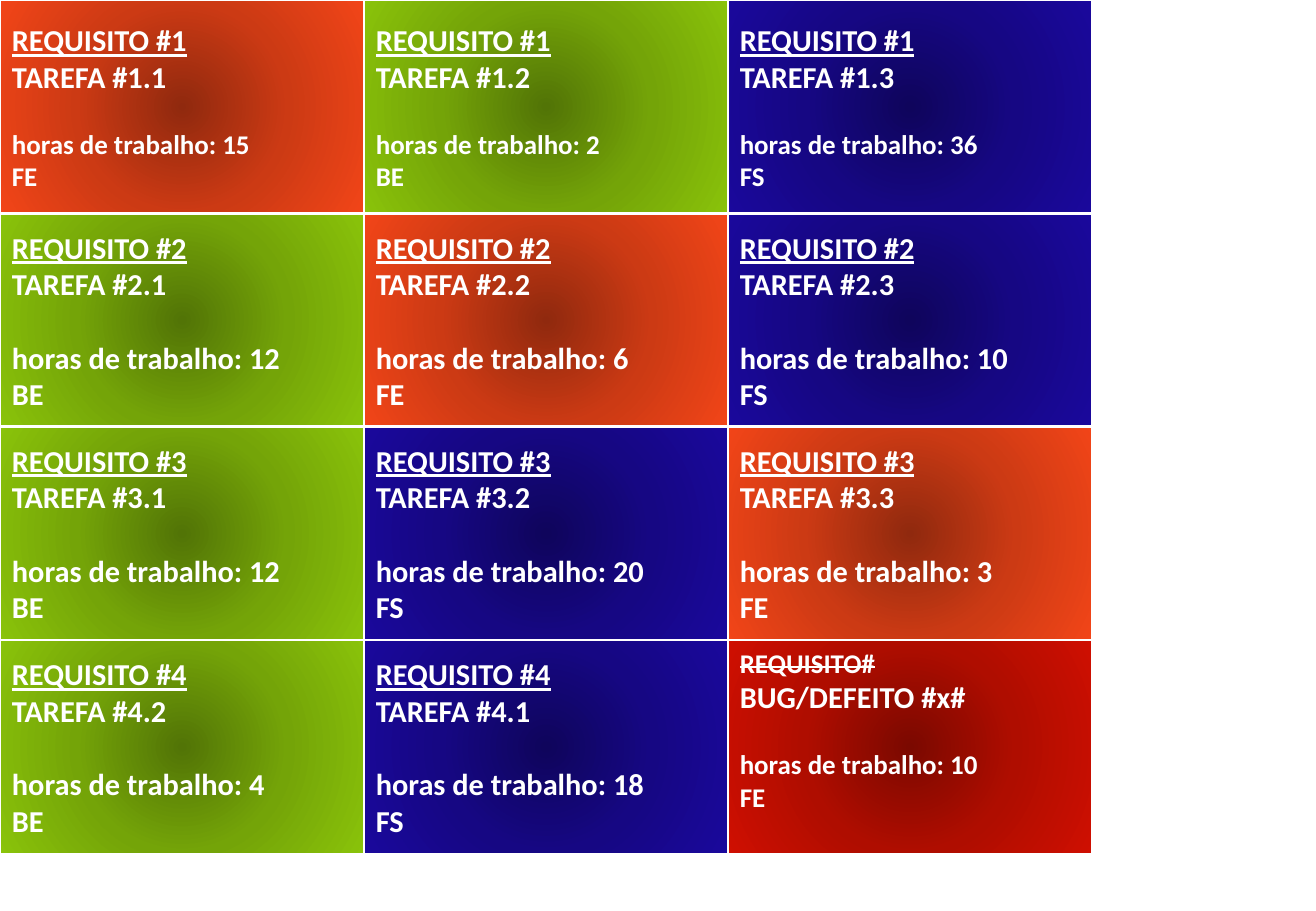
"""Build a slide with a grid of task cards."""
import pptx
import pptx.util
import pptx.oxml
import pptx.oxml.ns
import pptx.dml.color
import pptx.enum.shapes
import pptx.enum.text

Inches, Pt = pptx.util.Inches, pptx.util.Pt
RGB = pptx.dml.color.RGBColor
ANCHOR = pptx.enum.text.MSO_ANCHOR

WHITE = RGB(0xFF, 0xFF, 0xFF)
ORANGE = [RGB(0x90, 0x29, 0x0E), RGB(0xCC, 0x3A, 0x14), RGB(0xF2, 0x45, 0x18)]
GREEN = [RGB(0x52, 0x74, 0x06), RGB(0x74, 0xA4, 0x08), RGB(0x8A, 0xC3, 0x0A)]
BLUE = [RGB(0x0F, 0x05, 0x5C), RGB(0x16, 0x07, 0x83), RGB(0x1A, 0x08, 0x9C)]
RED = [RGB(0x7B, 0x09, 0x00), RGB(0xAF, 0x0D, 0x00), RGB(0xCF, 0x0F, 0x01)]
TINTS = {"FE": ORANGE, "BE": GREEN, "FS": BLUE}

ROWS = [
    [("1.1", 15, "FE"), ("1.2", 2, "BE"), ("1.3", 36, "FS")],
    [("2.1", 12, "BE"), ("2.2", 6, "FE"), ("2.3", 10, "FS")],
    [("3.1", 12, "BE"), ("3.2", 20, "FS"), ("3.3", 3, "FE")],
    [("4.2", 4, "BE"), ("4.1", 18, "FS"), ("", 10, "FE")],
]
WIDE, HIGH = 3, 1.76
LEFT, TOP = 5.99 / 2, 5.27 / 3
LINE = 1.22


def shade(card, tints):
    card.fill.gradient()
    stops = "".join(f'<a:gs pos="{i * 50000}"><a:srgbClr val="{tint}"/></a:gs>'
                    for i, tint in enumerate(tints))
    grad = pptx.oxml.parse_xml(
        f'<a:gradFill {pptx.oxml.ns.nsdecls("a")} rotWithShape="1">'
        f'<a:gsLst>{stops}</a:gsLst><a:path path="circle">'
        '<a:fillToRect l="50000" t="50000" r="50000" b="50000"/>'
        '</a:path></a:gradFill>')
    props = card.element.spPr
    props.replace(props.find(pptx.oxml.ns.qn("a:gradFill")), grad)


def write(frame, lines):
    for i, (text, size, gap, under, strike) in enumerate(lines):
        para = frame.add_paragraph() if i else frame.paragraphs[0]
        para.alignment = pptx.enum.text.PP_ALIGN.LEFT
        if gap:
            para.space_before = Pt(gap)
        run = para.add_run()
        run.text = text
        style = {"name": "Calibri", "size": Pt(size), "bold": True, "underline": under}
        for key, value in style.items():
            setattr(run.font, key, value)
        run.font.color.rgb = WHITE
        if strike:
            run.font._element.set("strike", "sngStrike")


def add_card(slide, row, col, task, hours, team):
    card = slide.shapes.add_shape(
        pptx.enum.shapes.MSO_SHAPE.RECTANGLE,
        Inches(col * LEFT), Inches(row * TOP), Inches(WIDE), Inches(HIGH))
    card.shadow.inherit = False
    shade(card, TINTS[team] if task else RED)
    card.line.color.rgb = WHITE
    card.line.width = Pt(1.5)
    frame = card.text_frame
    frame.word_wrap = True
    frame.vertical_anchor = ANCHOR.MIDDLE if task else ANCHOR.TOP
    size = 18 if task and row else 16
    if task:
        head = [(f"REQUISITO #{row + 1}", 18, 0, True, False),
                (f"TAREFA #{task}", 18, 0, False, False)]
    else:
        head = [("REQUISITO#", 16, 0, False, True),
                ("BUG/DEFEITO #x#", 18, 0, False, False)]
    write(frame, head + [
        (f"horas de trabalho: {hours}", size, round(size * LINE, 1), False, False),
        (team, size, 0, False, False)])


def main():
    deck = pptx.Presentation()
    deck.slide_width, deck.slide_height = Inches(10.83), Inches(7.5)
    slide = deck.slides.add_slide(deck.slide_layouts[6])
    for row, cards in enumerate(ROWS):
        for col, card in enumerate(cards):
            add_card(slide, row, col, *card)
    deck.save("out.pptx")


if __name__ == "__main__":
    main()
